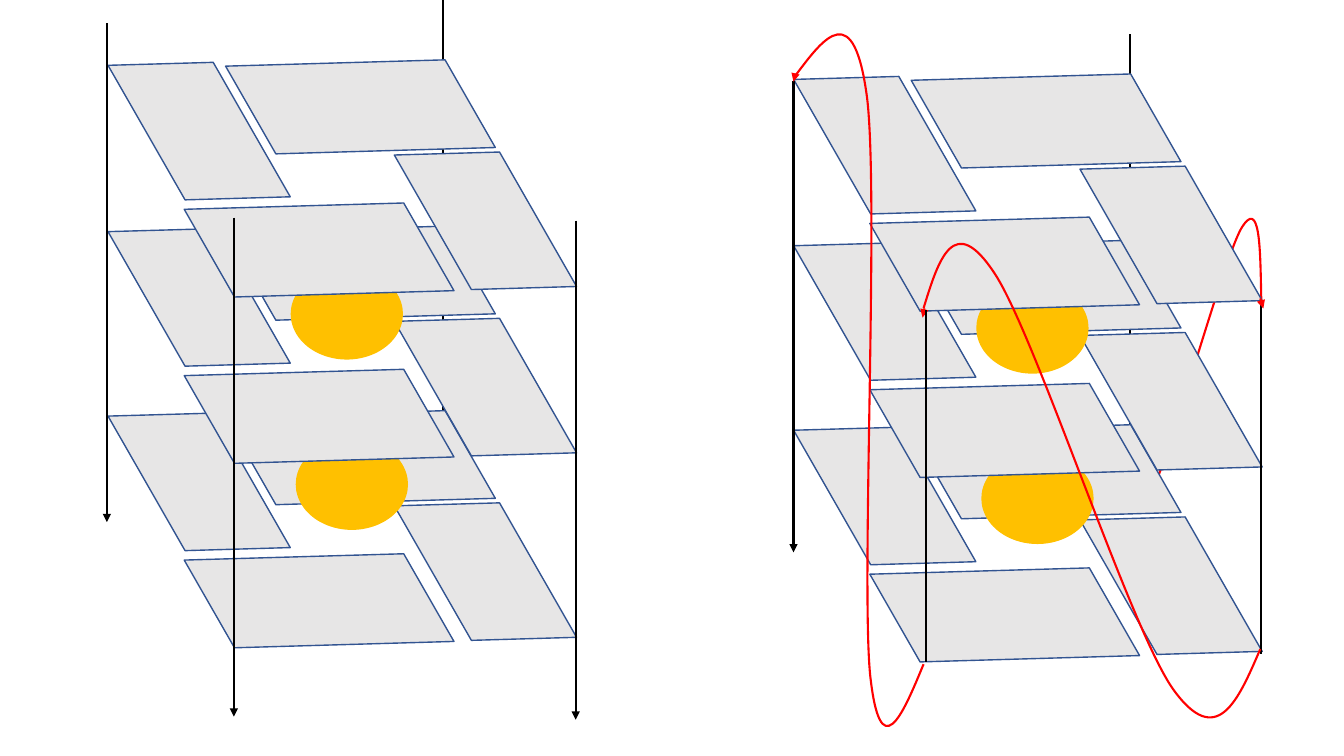
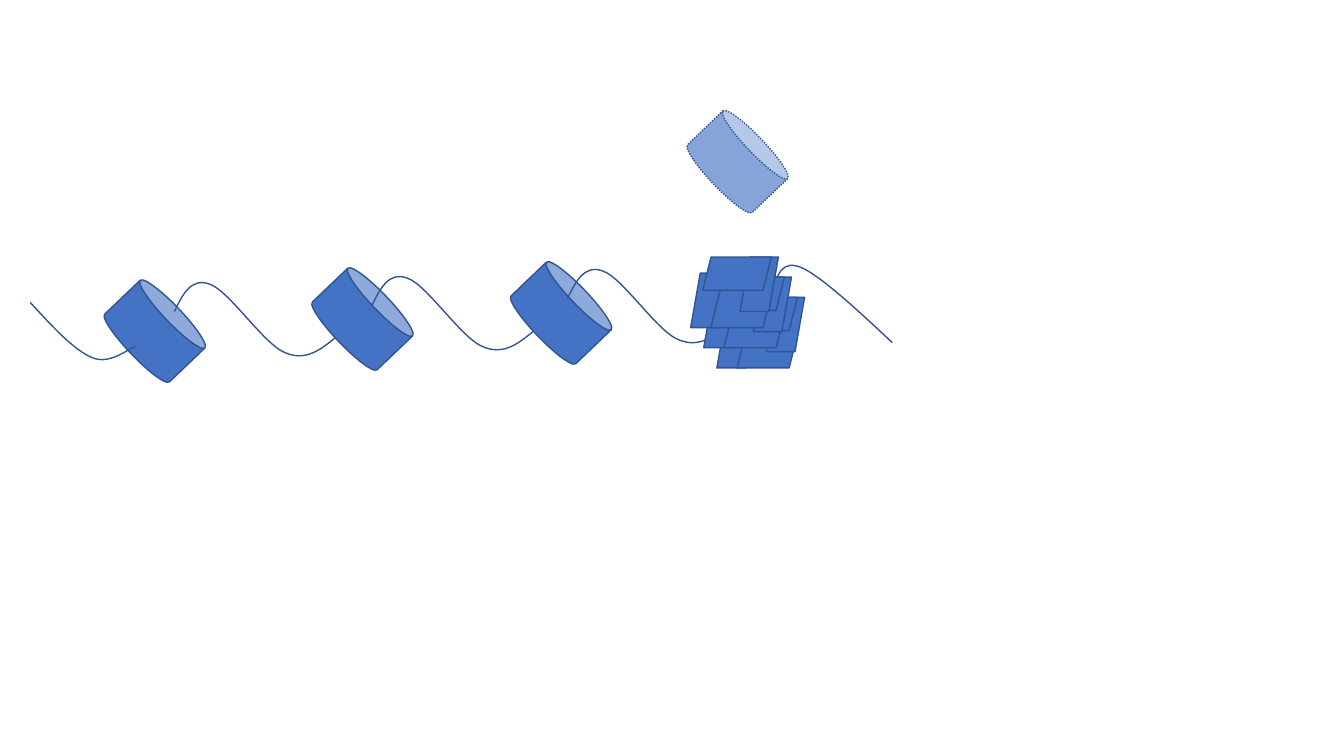
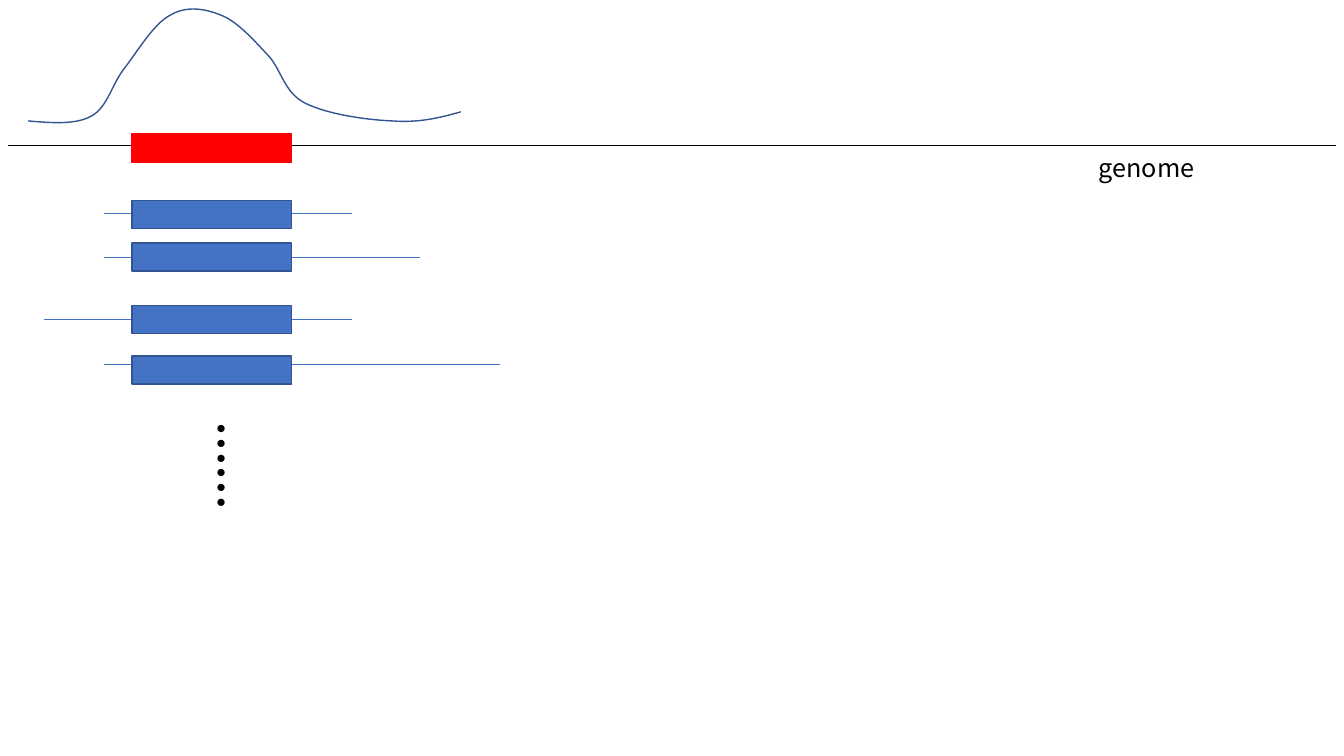
from lxml import etree
from pptx import Presentation
from pptx.dml.color import RGBColor
from pptx.enum.dml import MSO_LINE
from pptx.enum.shapes import MSO_CONNECTOR, MSO_SHAPE
from pptx.enum.text import MSO_AUTO_SIZE
from pptx.oxml.ns import qn
from pptx.util import Inches, Pt

STRAIGHT = MSO_CONNECTOR.STRAIGHT
PARALLELOGRAM = MSO_SHAPE.PARALLELOGRAM
ELLIPSE = MSO_SHAPE.OVAL
CAN = MSO_SHAPE.CAN
RECTANGLE = MSO_SHAPE.RECTANGLE
DOTTED = MSO_LINE.ROUND_DOT
FIT_SHAPE = MSO_AUTO_SIZE.SHAPE_TO_FIT_TEXT

COLORS = {
    "plate": "E7E6E6",
    "outline": "325491",
    "blue": "4472C4",
    "core": "FFC000",
    "link": "FF0000",
    "ink": "000000",
}
FONT = "Noto Sans CJK SC"
BLANK_LAYOUT = 6

# Plates of one layer, back to front: left, top, width, height
PLATES = [
    (1.6, 0, 2.03, 1.92),
    (1.19, 1.42, 2.03, 1.92),
    (2.84, 1.63, 2.03, 0.92),
    (0, 0.74, 2.03, 0.92),
]
# Layers from the bottom up: drop of the layer, core lying on it
LAYERS = [(3.48, (1.98, 4.26)), (1.65, (1.93, 2.57)), (0, None)]

BACK_LINK = [
    (3.45, 4.05), (3.46, 4.53), (3.47, 5.01), (3.65, 4.67), (3.83, 4.33),
    (4.37, 2.35), (4.55, 2.03), (4.74, 1.71), (4.74, 2.22), (4.75, 2.74),
]
FRONT_LINK = [
    (1.4, 2.82), (1.55, 2.33), (1.7, 1.85), (2.11, 2.48), (2.52, 3.11),
    (3.44, 5.97), (3.87, 6.59), (4.31, 7.21), (4.52, 6.71), (4.74, 6.2),
]
LEFT_LINK = [
    (1.4, 6.35), (1.19, 6.86), (0.97, 7.38), (0.87, 6.45), (0.78, 5.51),
    (0.96, 1.72), (0.84, 0.73), (0.71, -0.26), (0.42, 0.12), (0.13, 0.51),
]
LINK_TIPS = [
    ((0.13, 0.49), (0.11, 0.57)),
    ((1.41, 2.82), (1.39, 2.91)),
    ((4.74, 2.72), (4.77, 2.82)),
]

STRAND_START = [
    (0.3, 3), (0.52, 3.24), (0.74, 3.48), (0.92, 3.55),
    (1.09, 3.62), (1.27, 3.46), (1.34, 3.44),
]
STRAND_WAVE = [
    (0, 0), (0.08, -0.17), (0.17, -0.34), (0.35, -0.27), (0.54, -0.21),
    (0.89, 0.33), (1.1, 0.41), (1.31, 0.5), (1.46, 0.37), (1.61, 0.25),
]
STRAND_END = [
    (7.67, 2.87), (7.71, 2.72), (7.76, 2.57), (7.96, 2.66),
    (8.15, 2.75), (8.5, 3.07), (8.85, 3.4),
]
# Position of each can and of the wave that leaves it
BEADS = [
    ((1.07, 2.96), (1.73, 3.09)),
    ((3.13, 2.84), (3.69, 3.03)),
    ((5.1, 2.78), (5.63, 2.96)),
]
BRICKS = [
    (0, 0.16, 0.38, 0.54),
    (0.2, 0.33, 0.61, 0.37),
    (0.49, 0, 0.38, 0.54),
    (0.12, 0, 0.68, 0.33),
]

PEAK = [
    (0.28, 1.2), (0.51, 1.22), (0.75, 1.24), (0.91, 1.15),
    (1.07, 1.06), (1.11, 0.83), (1.24, 0.67),
    (1.37, 0.5), (1.53, 0.23), (1.69, 0.15),
    (1.84, 0.06), (2.02, 0.08), (2.19, 0.15),
    (2.35, 0.21), (2.51, 0.39), (2.65, 0.54),
    (2.79, 0.68), (2.81, 0.91), (3.02, 1.02),
    (3.23, 1.13), (3.63, 1.19), (3.89, 1.2),
    (4.15, 1.22), (4.36, 1.17), (4.57, 1.11),
]
# Line start, line end, line height, top of the bar
READS = [
    (1.03, 3.49, 2.12, 1.99),
    (1.03, 4.17, 2.55, 2.41),
    (0.44, 3.49, 3.17, 3.03),
    (1.03, 4.96, 3.61, 3.53),
]


def color(name):
    return RGBColor.from_string(COLORS[name])


def shifted(points, origin):
    return [(x + origin[0], y + origin[1]) for x, y in points]


def set_line(item, line_color, width):
    item.line.color.rgb = color(line_color)
    item.line.width = Pt(width)


def add_preset(shapes, kind, box, fill, line="outline", rotation=0):
    shape = shapes.add_shape(kind, *(Inches(value) for value in box))
    shape.shadow.inherit = False
    shape.fill.solid()
    shape.fill.fore_color.rgb = color(fill)
    set_line(shape, line, 1)
    shape.rotation = rotation
    return shape


def add_line(shapes, start, end, line_color="ink", width=1.5, arrow=True):
    line = shapes.add_connector(STRAIGHT, *(Inches(v) for v in (*start, *end)))
    set_line(line, line_color, width)
    if arrow:
        etree.SubElement(line.line._get_or_add_ln(), qn("a:tailEnd"), type="triangle")
    etree.SubElement(line._element.spPr, qn("a:effectLst"))


def add_curve(shapes, points, line_color="outline", width=1):
    """Draw cubic curves: a start, then two handles and an end for each piece."""
    places = [(Inches(x), Inches(y)) for x, y in points]
    builder = shapes.build_freeform(*places[0])
    builder.add_line_segments(places[1:], close=False)
    curve = builder.convert_to_shape()
    curve.shadow.inherit = False
    curve.fill.background()
    set_line(curve, line_color, width)
    outline = curve._element.find(".//" + qn("a:path"))
    segments = outline.findall(qn("a:lnTo"))
    for first in range(0, len(segments), 3):
        bezier = etree.SubElement(outline, qn("a:cubicBezTo"))
        for segment in segments[first:first + 3]:
            bezier.append(segment[0])
            outline.remove(segment)


def add_text(shapes, box, text, size, bold=False, vertical=False):
    text_box = shapes.add_textbox(*(Inches(value) for value in box))
    frame = text_box.text_frame
    frame.word_wrap = True
    frame.auto_size = FIT_SHAPE
    if vertical:
        frame._txBody.bodyPr.set("vert", "eaVert")
    span = frame.paragraphs[0].add_run()
    span.text = text
    span.font.size = Pt(size)
    span.font.bold = bold
    span.font.name = FONT
    span.font.color.rgb = color("ink")
    etree.SubElement(span.font._element, qn("a:ea"), typeface=FONT)


def add_layers(shapes, origin):
    left, top = origin
    for drop, core in LAYERS:
        for x, y, width, height in PLATES:
            box = (left + x, top + drop + y, width, height)
            plate = add_preset(shapes, PARALLELOGRAM, box, "plate", rotation=240.2)
            plate.adjustments[0] = 0.535
        if core:
            box = (left + core[0], top + core[1], 1.1, 0.89)
            add_preset(shapes, ELLIPSE, box, "core", "core")


def add_post(shapes, origin, x, top, bottom, arrow=True):
    start, end = shifted([(x, top), (x, bottom)], origin)
    add_line(shapes, start, end, arrow=arrow)


def add_open_stack(shapes, origin):
    """Stack of plates with four separate arrows."""
    add_post(shapes, origin, 3.43, -0.1, 4.85)
    add_layers(shapes, origin)
    for x, top in [(1.36, 2.06), (0.1, 0.13), (4.75, 2.09)]:
        add_post(shapes, origin, x, top, top + 4.95)


def add_linked_stack(shapes, origin):
    """Stack of plates whose posts are joined by red loops."""
    add_curve(shapes, shifted(BACK_LINK, origin), "link", 1.5)
    add_post(shapes, origin, 3.45, 0.1, 4.78)
    add_layers(shapes, origin)
    add_post(shapes, origin, 0.11, 0.56, 5.24)
    add_post(shapes, origin, 4.75, 2.76, 6.25, arrow=False)
    for tip in LINK_TIPS:
        add_line(shapes, *shifted(tip, origin), "link")
    for link in (FRONT_LINK, LEFT_LINK):
        add_curve(shapes, shifted(link, origin), "link", 1.5)
    add_post(shapes, origin, 1.42, 2.84, 6.33, arrow=False)


def add_can(shapes, corner):
    return add_preset(shapes, CAN, (*corner, 0.93, 0.65), "blue", rotation=46.3)


def add_beads(shapes):
    for index, (can_corner, wave_start) in enumerate(BEADS):
        add_can(shapes, can_corner)
        if index == 0:
            add_curve(shapes, STRAND_START)
        add_curve(shapes, shifted(STRAND_WAVE, wave_start))
    released = add_can(shapes, (6.85, 1.28))
    released.line.dash_style = DOTTED
    fill = released._element.spPr.find(qn("a:solidFill"))
    etree.SubElement(fill[0], qn("a:alpha"), val="64000")


def add_brick_pile(shapes, origin):
    left, top = origin
    for step in (2, 1, 0):
        for x, y, width, height in BRICKS:
            box = (left + x + 0.13 * step, top + y + 0.2 * step, width, height)
            add_preset(shapes, PARALLELOGRAM, box, "blue")


def add_bar(shapes, top, fill="blue", line="outline"):
    add_preset(shapes, RECTANGLE, (1.31, top, 1.58, 0.28), fill, line)


def build_stacks(slide):
    add_open_stack(slide.shapes.add_group_shape().shapes, (0.96, 0.1))
    add_linked_stack(slide.shapes.add_group_shape().shapes, (7.76, 0.24))


def build_strand(slide):
    add_beads(slide.shapes.add_group_shape().shapes)
    add_curve(slide.shapes, STRAND_END)
    add_brick_pile(slide.shapes.add_group_shape().shapes, (6.85, 2.55))


def build_reads(slide):
    shapes = slide.shapes
    for start, end, height, bar_top in READS:
        add_line(shapes, (start, height), (end, height), "blue", 0.5, arrow=False)
        add_bar(shapes, bar_top)
    add_line(shapes, (0.08, 1.44), (13.25, 1.44), "ink", 0.5, arrow=False)
    add_bar(shapes, 1.33, "link", "link")
    add_curve(shapes, PEAK)
    add_text(shapes, (1.78, 4.08, 0.74, 1.27), "……", 32, bold=True, vertical=True)
    add_text(shapes, (10.8, 1.46, 2.54, 0.4), "genome", 18)


def main():
    deck = Presentation()
    deck.slide_width = Inches(13.33)
    deck.slide_height = Inches(7.5)
    for build in (build_stacks, build_strand, build_reads):
        build(deck.slides.add_slide(deck.slide_layouts[BLANK_LAYOUT]))
    deck.save("out.pptx")


if __name__ == "__main__":
    main()
